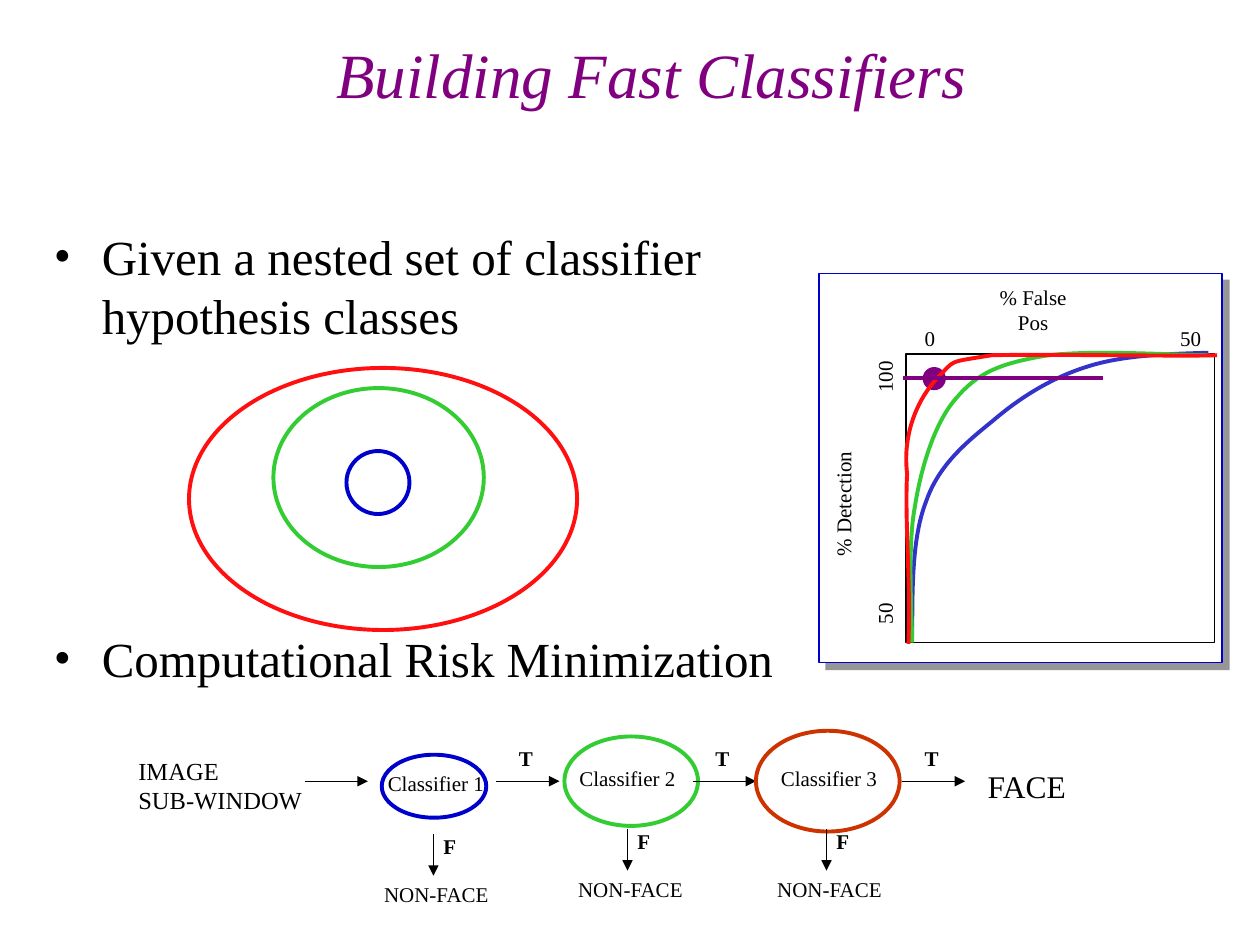
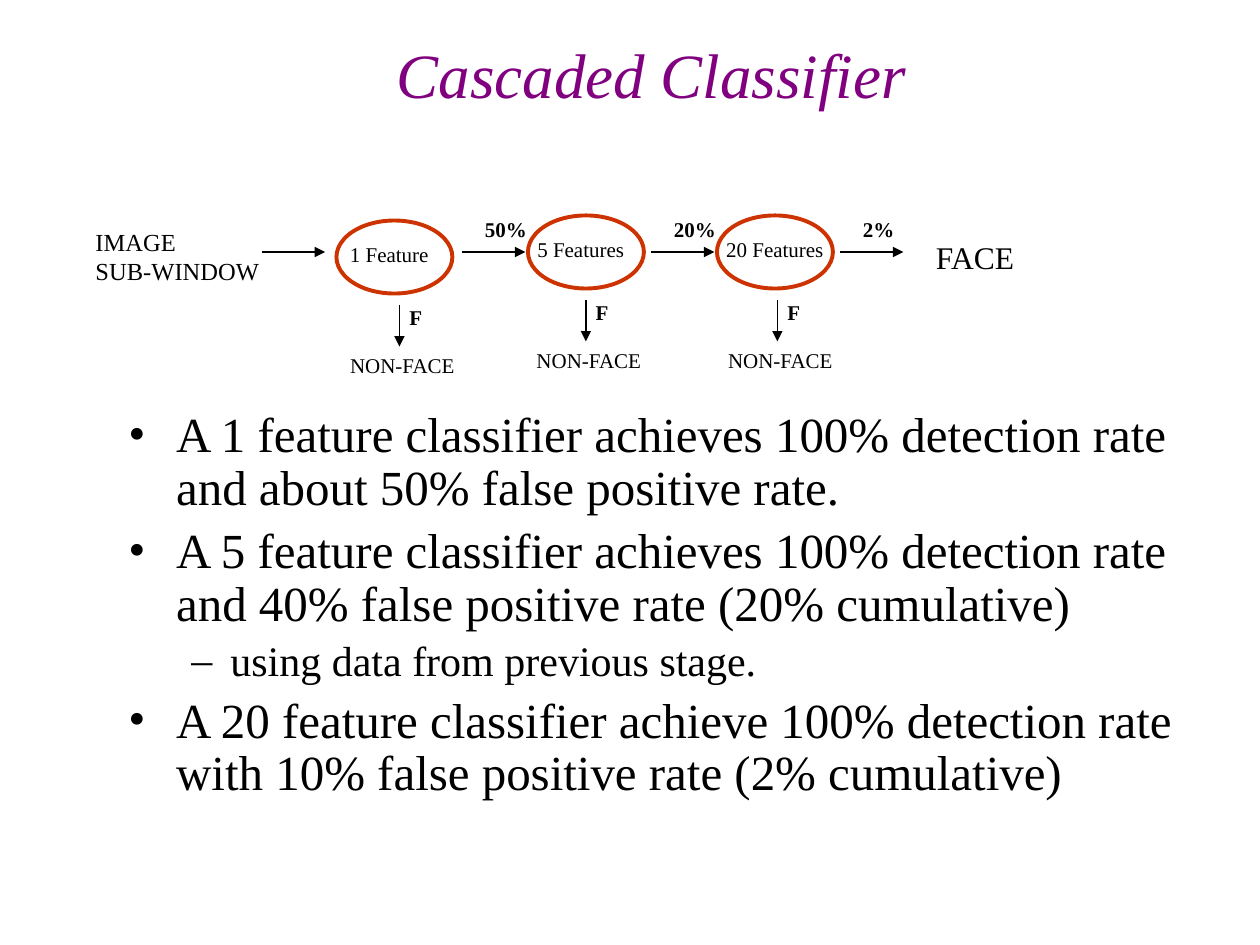
from collections import namedtuple

from lxml import etree
from pptx import Presentation
from pptx.dml.color import RGBColor
from pptx.enum.shapes import MSO_CONNECTOR, MSO_SHAPE
from pptx.enum.text import MSO_ANCHOR, PP_ALIGN
from pptx.oxml.ns import qn
from pptx.util import Inches, Pt

OVAL, RECTANGLE = MSO_SHAPE.OVAL, MSO_SHAPE.RECTANGLE
STRAIGHT = MSO_CONNECTOR.STRAIGHT
LEFT, CENTER = PP_ALIGN.LEFT, PP_ALIGN.CENTER
MIDDLE = MSO_ANCHOR.MIDDLE

FONT = "Times New Roman"
BLACK = RGBColor(0x00, 0x00, 0x00)
WHITE = RGBColor(0xFF, 0xFF, 0xFF)
GRAY = RGBColor(0x96, 0x96, 0x96)
PURPLE = RGBColor(0x80, 0x00, 0x80)
BLUE = RGBColor(0x00, 0x00, 0xCC)
SOFT_BLUE = RGBColor(0x33, 0x33, 0xCC)
GREEN = RGBColor(0x33, 0xCC, 0x33)
RED = RGBColor(0xFF, 0x0F, 0x0F)
RUST = RGBColor(0xCC, 0x33, 0x00)
THIN, THICK = 0.75, 2.25

# Content: bullets are (level, text); lengths are inches
NESTED_BULLET = [(0, "Given a nested set of classifier hypothesis classes")]
RISK_BULLET = [(0, "Computational Risk Minimization")]
CASCADE_BULLETS = [
    (0, "A 1 feature classifier achieves 100% detection rate and about 50% "
        "false positive rate."),
    (0, "A 5 feature classifier achieves 100% detection rate and 40% "
        "false positive rate (20% cumulative)"),
    (1, "using data from previous stage."),
    (0, "A 20 feature classifier achieve 100% detection rate with 10% "
        "false positive rate (2% cumulative)"),
]
# Per level: size, text indent, hanging indent, bullet
LEVELS = [(28, 0.38, 0.38, "•"), (24, 0.81, 0.31, "–")]

# Ellipse left, width and height; centre of name; x of reject arrow;
# start of pass arrow and its label
Stage = namedtuple("Stage", "name color left width height name_x reject_x pass_x passed")
RISK_STAGES = [
    Stage("Classifier 1", BLUE, 3.03, 0.83, 0.5, 3.46, 3.44, 3.94, "T"),
    Stage("Classifier 2", GREEN, 4.48, 1.06, 0.71, 4.98, 4.98, 5.5, "T"),
    Stage("Classifier 3", RUST, 6, 1.14, 0.8, 6.58, 6.56, 7.16, "T"),
]
FEATURE_STAGES = [
    Stage("1 Feature", RUST, 2.67, 0.92, 0.58, 3.09, 3.17, 3.67, "50%"),
    Stage("5 Features", RUST, 4.19, 0.92, 0.58, 4.61, 4.65, 5.17, "20%"),
    Stage("20 Features", RUST, 5.69, 0.92, 0.58, 6.15, 6.17, 6.67, "2%"),
]
FIRST_STAGE_DROP = 0.04
ARROW_LENGTH = 0.5

NESTED_SETS = [  # left, top, width, height, colour
    (2.75, 3.58, 0.5, 0.5, BLUE),
    (2.17, 3.08, 1.67, 1.42, GREEN),
    (1.5, 2.92, 3.08, 2.08, RED),
]
PLOT_LABELS = [  # text, centre x, centre y, width, height, rotation
    ("% False Pos", 8.2, 2.46, 0.7, 0.4, 0),
    ("0", 7.38, 2.68, 0.3, 0.2, 0),
    ("50", 9.45, 2.68, 0.3, 0.2, 0),
    ("% Detection", 6.69, 4, 1, 0.2, 270),
    ("100", 7.02, 2.99, 0.4, 0.2, 270),
    ("50", 7.02, 4.87, 0.4, 0.2, 270),
]
ROC_CURVES = [  # colour, then Bezier points: start, and three per segment
    (SOFT_BLUE, [(7.24, 5.04), (7.24, 4.65), (7.24, 4.26), (7.35, 3.98),
                 (7.45, 3.69), (7.67, 3.51), (7.88, 3.34),
                 (8.09, 3.16), (8.34, 3), (8.63, 2.91),
                 (8.91, 2.82), (9.25, 2.81), (9.59, 2.8)]),
    (GREEN, [(7.24, 5.1), (7.24, 4.92), (7.2, 4.35), (7.26, 4.03),
             (7.31, 3.71), (7.42, 3.35), (7.59, 3.16),
             (7.76, 2.96), (7.93, 2.89), (8.26, 2.83),
             (8.6, 2.77), (9.32, 2.82), (9.6, 2.82)]),
    (RED, [(7.21, 5.11), (7.23, 4.61), (7.18, 4.14), (7.2, 3.76),
           (7.16, 3.42), (7.3, 3.15), (7.44, 3),
           (7.59, 2.85), (7.51, 2.88), (7.87, 2.82),
           (8.26, 2.81), (9.4, 2.83), (9.66, 2.82)]),
]


def style_font(font, size, color=BLACK, bold=False, italic=False):
    font.name, font.size, font.bold, font.italic = FONT, Pt(size), bold, italic
    font.color.rgb = color


def add_page(deck, title):
    page = deck.slides.add_slide(deck.slide_layouts[5])
    box = page.shapes.title
    box.left, box.top, box.width, box.height = map(Inches, (0.92, 0.25, 8.5, 0.67))
    box.text_frame.text = title
    box.text_frame.vertical_anchor = MIDDLE
    para = box.text_frame.paragraphs[0]
    para.alignment = CENTER
    style_font(para.font, 36, PURPLE, italic=True)
    return page


def add_label(page, text, left, top, width, height, size=12, bold=False,
              align=LEFT, rotation=0):
    box = page.shapes.add_textbox(*map(Inches, (left, top, width, height)))
    box.rotation = rotation
    box.text_frame.word_wrap = False
    box.text_frame.text = text
    for para in box.text_frame.paragraphs:
        para.alignment = align
        style_font(para.font, size, bold=bold)
    return box


def add_bullets(page, bullets, left, top, width, height, spacing=1.0):
    box = page.shapes.add_textbox(*map(Inches, (left, top, width, height)))
    frame = box.text_frame
    frame.word_wrap = True
    for index, (level, text) in enumerate(bullets):
        size, indent, hanging, symbol = LEVELS[level]
        para = frame.add_paragraph() if index else frame.paragraphs[0]
        para.level = level
        para.line_spacing = spacing
        if index:
            para.space_before = Pt(0.2 * size)
        properties = para._p.get_or_add_pPr()
        properties.set("marL", str(Inches(indent)))
        properties.set("indent", str(-Inches(hanging)))
        etree.SubElement(properties, qn("a:buFont")).set("typeface", FONT)
        etree.SubElement(properties, qn("a:buChar")).set("char", symbol)
        # Run fonts also set the size by which the bullet is placed
        span = para.add_run()
        span.text = text
        style_font(span.font, size)


def outline(shape, color, width):
    shape.shadow.inherit = False
    shape.fill.background()
    shape.line.color.rgb = color
    shape.line.width = Pt(width)


def add_outline(page, kind, left, top, width, height, color, weight=THICK):
    shape = page.shapes.add_shape(kind, *map(Inches, (left, top, width, height)))
    outline(shape, color, weight)
    return shape


def paint(shape, color):
    shape.fill.solid()
    shape.fill.fore_color.rgb = color


def add_line(page, x1, y1, x2, y2, color=BLACK, weight=THIN, arrow=True):
    line = page.shapes.add_connector(STRAIGHT, *map(Inches, (x1, y1, x2, y2)))
    line.line.color.rgb = color
    line.line.width = Pt(weight)
    if arrow:
        etree.SubElement(line.line._get_or_add_ln(), qn("a:tailEnd")).set("type", "triangle")
    etree.SubElement(line._element.spPr, qn("a:effectLst"))


def add_cascade(page, stages, row, entry_x, face_x):
    """Draw the chain of classifiers along the horizontal line y = row."""
    add_label(page, "IMAGE\nSUB-WINDOW", entry_x - 1.42, row - 0.25, 1.5, 0.57, 14)
    add_line(page, entry_x, row, entry_x + ARROW_LENGTH, row)
    for index, stage in enumerate(stages):
        middle = row if index else row + FIRST_STAGE_DROP
        add_outline(page, OVAL, stage.left, middle - stage.height / 2,
                    stage.width, stage.height, stage.color)
        add_label(page, stage.name, stage.name_x - 0.5, middle - 0.17, 1, 0.3, align=CENTER)
        # Pass to the next stage
        add_line(page, stage.pass_x, row, stage.pass_x + ARROW_LENGTH, row)
        add_label(page, stage.passed, stage.pass_x + 0.08, row - 0.33, 0.55, 0.3, bold=True)
        # Reject downwards
        x = stage.reject_x
        add_line(page, x, middle + 0.38, x, middle + 0.71)
        add_label(page, "F", x - 0.02, middle + 0.33, 0.3, 0.3, bold=True)
        add_label(page, "NON-FACE", x - 0.49, middle + 0.71, 1.04, 0.3)
    add_label(page, "FACE", face_x, row - 0.16, 0.84, 0.4, 18)


def add_plot_panel(page):
    shadow = add_outline(page, RECTANGLE, 6.55, 2.22, 3.21, 3.1, GRAY)
    paint(shadow, GRAY)
    shadow.line.fill.background()
    paint(add_outline(page, RECTANGLE, 6.5, 2.17, 3.2, 3.09, BLUE, THIN), WHITE)
    add_outline(page, RECTANGLE, 7.19, 2.81, 2.45, 2.29, BLACK, THIN)
    for text, x, y, width, height, rotation in PLOT_LABELS:
        box = add_label(page, text, x - width / 2, y - height / 2, width, height,
                        align=CENTER, rotation=rotation)
        frame = box.text_frame
        frame.word_wrap = True
        frame.margin_left = frame.margin_right = frame.margin_top = frame.margin_bottom = 0
    paint(add_outline(page, OVAL, 7.33, 2.92, 0.17, 0.17, PURPLE, 1), PURPLE)


def add_curve(page, color, points):
    corners = [tuple(map(Inches, point)) for point in points]
    builder = page.shapes.build_freeform(*corners[0])
    builder.add_line_segments(corners[1:], close=False)
    curve = builder.convert_to_shape()
    # Turn every three straight segments into one Bezier segment
    outline_path = curve._element.find(".//" + qn("a:path"))
    segments = outline_path.findall(qn("a:lnTo"))
    for start in range(0, len(segments), 3):
        bend = etree.SubElement(outline_path, qn("a:cubicBezTo"))
        for segment in segments[start:start + 3]:
            bend.append(segment[0])
            outline_path.remove(segment)
    outline(curve, color, THICK)


def main():
    deck = Presentation()
    deck.slide_width, deck.slide_height = Inches(10), Inches(7.5)

    # Nested hypothesis classes, detection plot and cascade
    page = add_page(deck, "Building Fast Classifiers")
    add_bullets(page, NESTED_BULLET, 0.33, 1.75, 6, 1.05)
    add_bullets(page, RISK_BULLET, 0.33, 4.94, 6, 0.57)
    add_plot_panel(page)
    add_cascade(page, RISK_STAGES, row=6.2, entry_x=2.42, face_x=7.74)
    for left, top, width, height, color in NESTED_SETS:
        add_outline(page, OVAL, left, top, width, height, color)
    for color, points in ROC_CURVES:
        add_curve(page, color, points)
    add_line(page, 7.17, 3, 8.75, 3, PURPLE, THICK, arrow=False)

    # Cascade by number of features
    page = add_page(deck, "Cascaded Classifier")
    add_cascade(page, FEATURE_STAGES, row=2, entry_x=2.08, face_x=7.33)
    add_bullets(page, CASCADE_BULLETS, 0.92, 3.21, 8.5, 3.54, spacing=0.9)

    deck.save("out.pptx")


if __name__ == "__main__":
    main()
